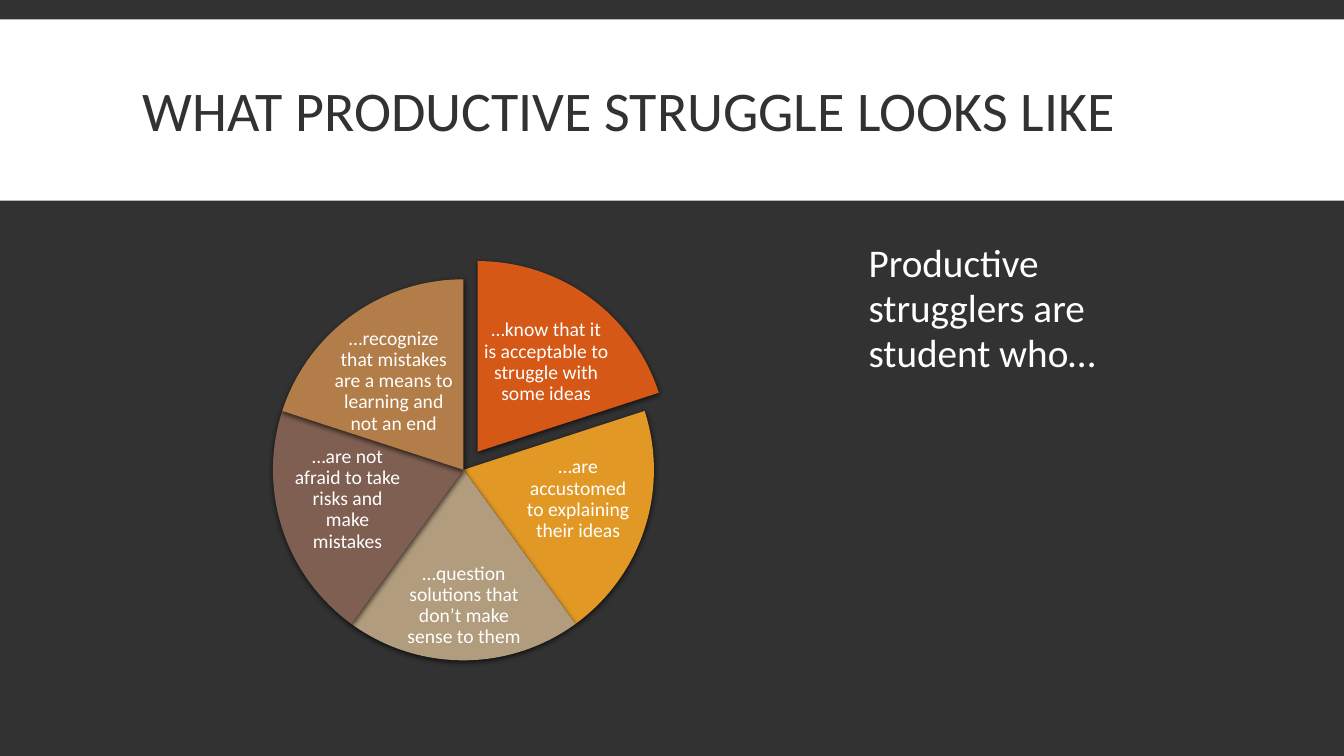
import pptx
import pptx.util
import pptx.dml.color
import pptx.enum.shapes
import pptx.enum.text
import pptx.oxml

Cm, Pt = pptx.util.Cm, pptx.util.Pt
RGBColor = pptx.dml.color.RGBColor
MSO_SHAPE = pptx.enum.shapes.MSO_SHAPE
ANCHOR, ALIGN = pptx.enum.text.MSO_ANCHOR, pptx.enum.text.PP_ALIGN

CHARCOAL = RGBColor(0x32, 0x32, 0x32)
WHITE = RGBColor(0xFF, 0xFF, 0xFF)
ORANGE = RGBColor(0xD5, 0x58, 0x16)
AMBER = RGBColor(0xE1, 0x98, 0x25)
SAND = RGBColor(0xB1, 0x9C, 0x7D)
COCOA = RGBColor(0x7F, 0x5F, 0x52)
BRONZE = RGBColor(0xB2, 0x7D, 0x49)

FONT = "Calibri"
SLIDE_WIDTH, SLIDE_HEIGHT = 33.87, 19.05
EXPLODE = (0.36, -0.46)
ADJUSTMENT_PER_DEGREE = 0.6

# Colour, offset of the wedge, label box relative to the pie, wording
HABITS = [
    (ORANGE, EXPLODE, (5.26, 0.97, 3.25, 2.24),
     "…know that it is acceptable to struggle with some ideas"),
    (AMBER, (0, 0), (6.27, 4.34, 2.84, 2.41),
     "…are accustomed to explaining their ideas"),
    (SAND, (0, 0), (3.1, 7.19, 3.43, 2.06),
     "…question solutions that don’t make sense to them"),
    (COCOA, (0, 0), (0.46, 4.34, 2.84, 2.41),
     "…are not afraid to take risks and make mistakes"),
    (BRONZE, (0, 0), (1.42, 1.45, 3.25, 2.24),
     "…recognize that mistakes are a means to learning and not an end"),
]

SHADOW = (
    '<a:effectLst xmlns:a="http://schemas.openxmlformats.org/drawingml/2006/main">'
    '<a:outerShdw blurRad="50800" dist="15240" dir="5400000" rotWithShape="0">'
    '<a:srgbClr val="000000"><a:alpha val="68000"/></a:srgbClr>'
    '</a:outerShdw></a:effectLst>'
)
LABEL_INSETS = {side: Cm(0.05) for side in
                ("margin_left", "margin_right", "margin_top", "margin_bottom")}


def apply_format(target, values):
    """Set every attribute named in values on target."""
    for name, value in values.items():
        setattr(target, name, value)


def add_text(slide, box, wording, size, color, frame_format, paragraph_format):
    """Write one wrapped paragraph into a box given in centimetres."""
    frame = slide.shapes.add_textbox(*map(Cm, box)).text_frame
    apply_format(frame, {"word_wrap": True, **frame_format})
    paragraph = frame.paragraphs[0]
    apply_format(paragraph, paragraph_format)
    run = paragraph.add_run()
    run.text = wording
    apply_format(run.font, {"name": FONT, "size": Pt(size)})
    run.font.color.rgb = color


def add_filled(slide, kind, box, color):
    """Add a preset shape with a plain fill, no line and no shadow."""
    shape = slide.shapes.add_shape(kind, *map(Cm, box))
    shape.fill.solid()
    shape.fill.fore_color.rgb = color
    shape.line.fill.background()
    shape.shadow.inherit = False
    return shape


def draw_title_band(slide, box):
    """Draw the white band with the title centred vertically in it."""
    left, top, width, height = box
    add_filled(slide, MSO_SHAPE.RECTANGLE, box, WHITE)
    add_text(slide, (left + 3.35, top + 0.3, width - 6.31, height - 0.38),
             "WHAT PRODUCTIVE STRUGGLE LOOKS LIKE", 40, CHARCOAL,
             {"vertical_anchor": ANCHOR.MIDDLE}, {"line_spacing": 0.85})


def draw_habit_wheel(slide, box):
    """Draw equal wedges clockwise from the top, each with its label."""
    left, top, width, height = box
    sweep = 360 / len(HABITS)
    for index, (color, (shift_x, shift_y), label, wording) in enumerate(HABITS):
        wedge = add_filled(slide, MSO_SHAPE.PIE,
                           (left + shift_x, top + shift_y, width, height), color)
        for edge in (0, 1):
            angle = (270 + (index + edge) * sweep) % 360
            wedge.adjustments[edge] = angle * ADJUSTMENT_PER_DEGREE
        properties = wedge.fill._xPr
        properties.remove(properties.find(pptx.oxml.ns.qn("a:effectLst")))
        properties.append(pptx.oxml.parse_xml(SHADOW))
        label_left, label_top, label_width, label_height = label
        add_text(slide,
                 (left + label_left, top + label_top, label_width, label_height),
                 wording, 14, WHITE,
                 {"vertical_anchor": ANCHOR.MIDDLE, **LABEL_INSETS},
                 {"alignment": ALIGN.CENTER, "line_spacing": 0.9})


def draw_lead_in(slide, box):
    """Write the sentence opening that the wheel completes."""
    add_text(slide, box, "Productive strugglers are student who…", 28, WHITE,
             {"vertical_anchor": ANCHOR.TOP},
             {"line_spacing": 0.95, "space_before": Pt(12), "space_after": Pt(2)})


def build_slide(deck):
    """Add the slide and place its three regions."""
    slide = deck.slides.add_slide(deck.slide_layouts[6])
    slide.background.fill.solid()
    slide.background.fill.fore_color.rgb = CHARCOAL
    draw_title_band(slide, (0, 0.49, SLIDE_WIDTH, 4.57))
    draw_habit_wheel(slide, (6.88, 7.04, 9.6, 9.6))
    draw_lead_in(slide, (21.64, 5.97, 8.89, 9.53))


presentation = pptx.Presentation()
apply_format(presentation, {"slide_width": Cm(SLIDE_WIDTH),
                            "slide_height": Cm(SLIDE_HEIGHT)})
build_slide(presentation)
presentation.save("out.pptx")
